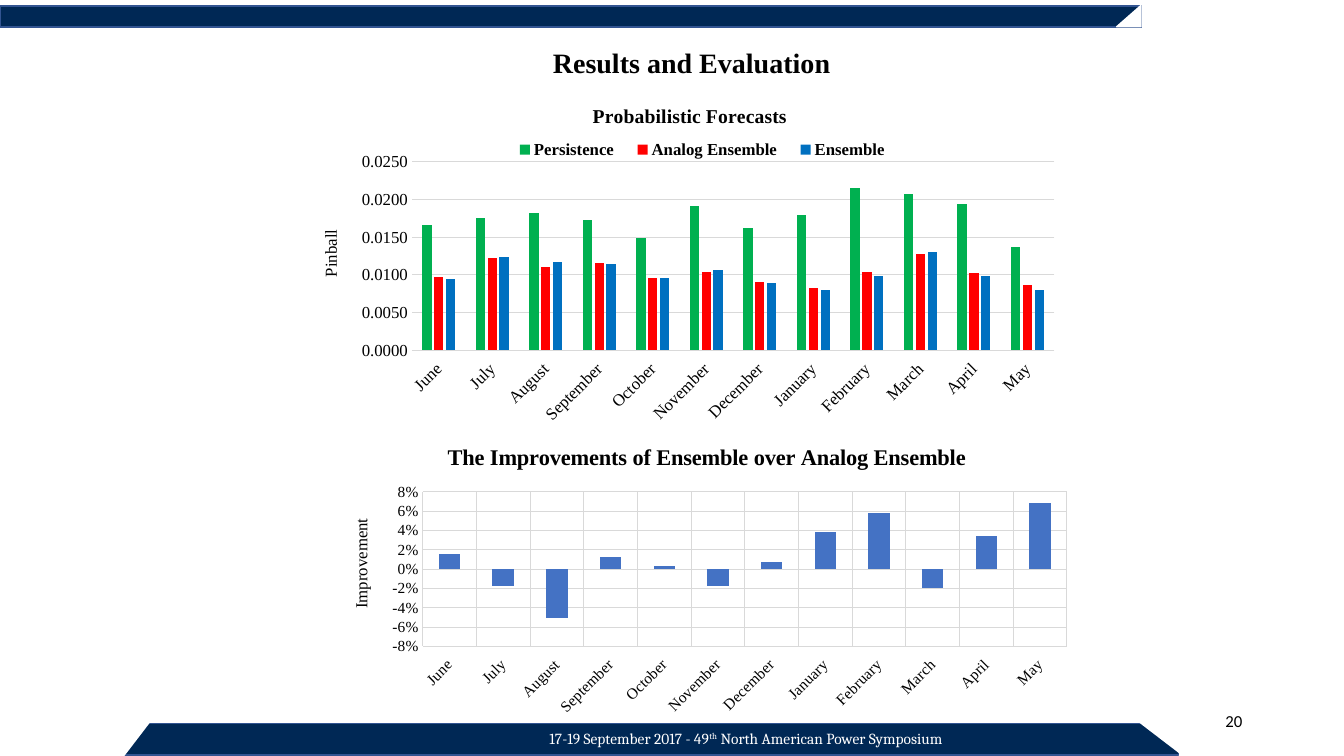
"""Build the forecast results slide with its two monthly column charts."""
from dataclasses import dataclass

import lxml.etree
import pptx
import pptx.chart.data
import pptx.dml.color
import pptx.enum.chart
import pptx.enum.shapes
import pptx.enum.text
import pptx.oxml.ns
import pptx.util


@dataclass(frozen=True)
class Theme:
    navy: str = "002855"
    edge: str = "325491"
    white: str = "FFFFFF"
    black: str = "000000"
    grid: str = "D9D9D9"
    serif: str = "Times New Roman"
    footer_font: str = "Cambria"
    number_font: str = "Calibri"
    title_size: int = 20
    footer_size: int = 11
    number_size: int = 12


theme = Theme()
deck = pptx.Presentation()
deck.slide_width = pptx.util.Inches(13.33)
deck.slide_height = pptx.util.Inches(7.5)
page = deck.slides.add_slide(deck.slide_layouts[5])
color = pptx.dml.color.RGBColor.from_string
qn = pptx.oxml.ns.qn


def frame(left, top, width, height):
    """Turn percentages of the slide into lengths."""
    return (int(deck.slide_width * left / 100), int(deck.slide_height * top / 100),
            int(deck.slide_width * width / 100), int(deck.slide_height * height / 100))


def arrange(element, index, shares, inner=False):
    """Place a chart part by its shares of the chart's size."""
    for old in element.findall(qn("c:layout")):
        element.remove(old)
    layout = lxml.etree.Element(qn("c:layout"))
    manual = lxml.etree.SubElement(layout, qn("c:manualLayout"))
    values = [("xMode", "edge"), ("yMode", "edge"), *zip("xywh", shares)]
    if inner:
        values.insert(0, ("layoutTarget", "inner"))
    for name, value in values:
        lxml.etree.SubElement(manual, qn("c:" + name)).set("val", str(value))
    element.insert(index, layout)


preset = pptx.enum.shapes.MSO_SHAPE
bands = [
    (preset.RECTANGLE, (9.23, 95.73, 78.47, 4.13), 0, theme.navy, theme.edge),
    (preset.RIGHT_TRIANGLE, (84.77, 95.6, 3.23, 4.4), 180, theme.white, None),
    (preset.RECTANGLE, (0, 0.8, 84.92, 2.8), 0, theme.navy, theme.edge),
    (preset.RIGHT_TRIANGLE, (83.2, 0.53, 1.58, 3.2), 270, theme.white, theme.white),
    (preset.RIGHT_TRIANGLE, (8.7, 95.33, 3.23, 4.4), 90, theme.white, None),
]
for kind, place, turn, fill, edge in bands:
    band = page.shapes.add_shape(kind, *frame(*place))
    band.rotation = turn
    band.shadow.inherit = False
    band.fill.solid()
    band.fill.fore_color.rgb = color(fill)
    if edge:
        band.line.color.rgb = color(edge)
        band.line.width = pptx.util.Pt(1)
    else:
        band.line.fill.background()

title = page.shapes.title
title.left, title.top, title.width, title.height = frame(32.03, 5.07, 38.86, 6.27)
footer = page.shapes.add_textbox(*frame(34.73, 95.73, 41.56, 3.87))
number = page.shapes.add_textbox(*frame(70.67, 92.67, 22.51, 5.33))
align = pptx.enum.text.PP_ALIGN
anchor = pptx.enum.text.MSO_ANCHOR
labels = [
    (title, ["Results and Evaluation"], theme.serif, theme.title_size, theme.black,
     True, align.CENTER, anchor.MIDDLE),
    (footer, ["17-19 September 2017 - 49", "th", " North American Power Symposium"],
     theme.footer_font, theme.footer_size, theme.white, False, align.CENTER, anchor.TOP),
    (number, ["20"], theme.number_font, theme.number_size, theme.black,
     False, align.RIGHT, anchor.MIDDLE),
]
for box, pieces, font, size, ink, bold, side, level in labels:
    box.text_frame.word_wrap = True
    box.text_frame.vertical_anchor = level
    para = box.text_frame.paragraphs[0]
    para.alignment = side
    for piece in pieces:
        span = para.add_run()
        span.text = piece
        span.font.name = font
        span.font.size = pptx.util.Pt(size)
        span.font.bold = bold
        span.font.color.rgb = color(ink)
        if piece == "th":
            span.font._element.set("baseline", "30000")

months = ["June", "July", "August", "September", "October", "November",
          "December", "January", "February", "March", "April", "May"]
charts = [
    dict(place=(24.76, 56.53, 55.74, 38.8), size=11, gap=150, overlap=0,
         title="The Improvements of Ensemble over Analog Ensemble", title_size=16,
         title_at=(0.148, 0.04), axis="Improvement", axis_at=(0.02, 0.3),
         plot=(0.12, 0.22, 0.86, 0.527), scale=(-0.08, 0.08, 0.02), format="0%",
         columns=True, legend=None,
         series=[("Series 1", "4472C4", [0.016, -0.018, -0.051, 0.013, 0.003, -0.017,
                                         0.007, 0.038, 0.058, -0.02, 0.034, 0.068])]),
    dict(place=(21.31, 12.27, 57.31, 44.27), size=12, gap=219, overlap=-27,
         title="Probabilistic Forecasts", title_size=14,
         title_at=(0.393, 0.02), axis="Pinball", axis_at=(0.04, 0.4),
         plot=(0.163, 0.207, 0.834, 0.563), scale=(0, 0.025, 0.005), format="0.0000",
         columns=False, legend=(0.28, 0.14, 0.52, 0.06),
         series=[("Persistence", "00B050", [0.0166, 0.0176, 0.0182, 0.0173, 0.0149, 0.0191,
                                            0.0162, 0.0179, 0.0215, 0.0208, 0.0194, 0.0137]),
                 ("Analog Ensemble", "FF0000", [0.0097, 0.0122, 0.0111, 0.0116, 0.0096, 0.0104,
                                                0.009, 0.0083, 0.0104, 0.0128, 0.0103, 0.0086]),
                 ("Ensemble", "0070C0", [0.0095, 0.0124, 0.0117, 0.0115, 0.0096, 0.0106,
                                         0.0089, 0.008, 0.0098, 0.0131, 0.0099, 0.008])]),
]
options = pptx.enum.chart
for plan in charts:
    data = pptx.chart.data.CategoryChartData(number_format=plan["format"])
    data.categories = months
    for name, _, values in plan["series"]:
        data.add_series(name, values)
    chart = page.shapes.add_chart(options.XL_CHART_TYPE.COLUMN_CLUSTERED,
                                  *frame(*plan["place"]), data).chart
    chart.font.name = theme.serif
    chart.font.size = pptx.util.Pt(plan["size"])
    chart.font.color.rgb = color(theme.black)
    plot = chart.plots[0]
    plot.gap_width, plot.overlap = plan["gap"], plan["overlap"]
    plot.vary_by_categories = False
    for series, (_, fill, _) in zip(plot.series, plan["series"]):
        series.invert_if_negative = False
        series.format.fill.solid()
        series.format.fill.fore_color.rgb = color(fill)

    months_axis, value_axis = chart.category_axis, chart.value_axis
    months_axis.tick_label_position = options.XL_TICK_LABEL_POSITION.LOW
    months_axis.has_major_gridlines = plan["columns"]
    value_axis.has_major_gridlines = True
    value_axis.minimum_scale, value_axis.maximum_scale, value_axis.major_unit = plan["scale"]
    value_axis.tick_labels.number_format = plan["format"]
    value_axis.tick_labels.number_format_is_linked = False
    value_axis.format.line.fill.background()
    rules = [months_axis.format.line, value_axis.major_gridlines.format.line]
    if plan["columns"]:
        rules.append(months_axis.major_gridlines.format.line)
    for rule in rules:
        rule.color.rgb = color(theme.grid)
        rule.width = pptx.util.Pt(0.75)
    for axis in (months_axis, value_axis):
        axis.major_tick_mark = options.XL_TICK_MARK.NONE
        axis.tick_labels.font.size = pptx.util.Pt(plan["size"])
    for body in chart.element.xpath("//c:catAx/c:txPr/a:bodyPr"):
        body.set("rot", "-2700000")

    headings = [(chart.chart_title, plan["title"], plan["title_size"], True, plan["title_at"]),
                (value_axis.axis_title, plan["axis"], 12, False, plan["axis_at"])]
    for heading, words, size, bold, place in headings:
        heading.text_frame.text = words
        font = heading.text_frame.paragraphs[0].runs[0].font
        font.name, font.size, font.bold = theme.serif, pptx.util.Pt(size), bold
        font.color.rgb = color(theme.black)
        arrange(heading.text_frame._txBody.getparent().getparent(), 1, place)
    for body in chart.element.xpath("//c:valAx/c:title//a:bodyPr"):
        body.set("rot", "-5400000")
        body.set("vert", "horz")
    arrange(chart.element.xpath("//c:plotArea")[0], 0, plan["plot"], inner=True)

    chart.has_legend = bool(plan["legend"])
    if plan["legend"]:
        chart.legend.position = options.XL_LEGEND_POSITION.BOTTOM
        chart.legend.include_in_layout = False
        chart.legend.font.size = pptx.util.Pt(plan["size"])
        chart.legend.font.bold = True
        arrange(chart.element.xpath("//c:legend")[0], 1, plan["legend"])

deck.save("out.pptx")
